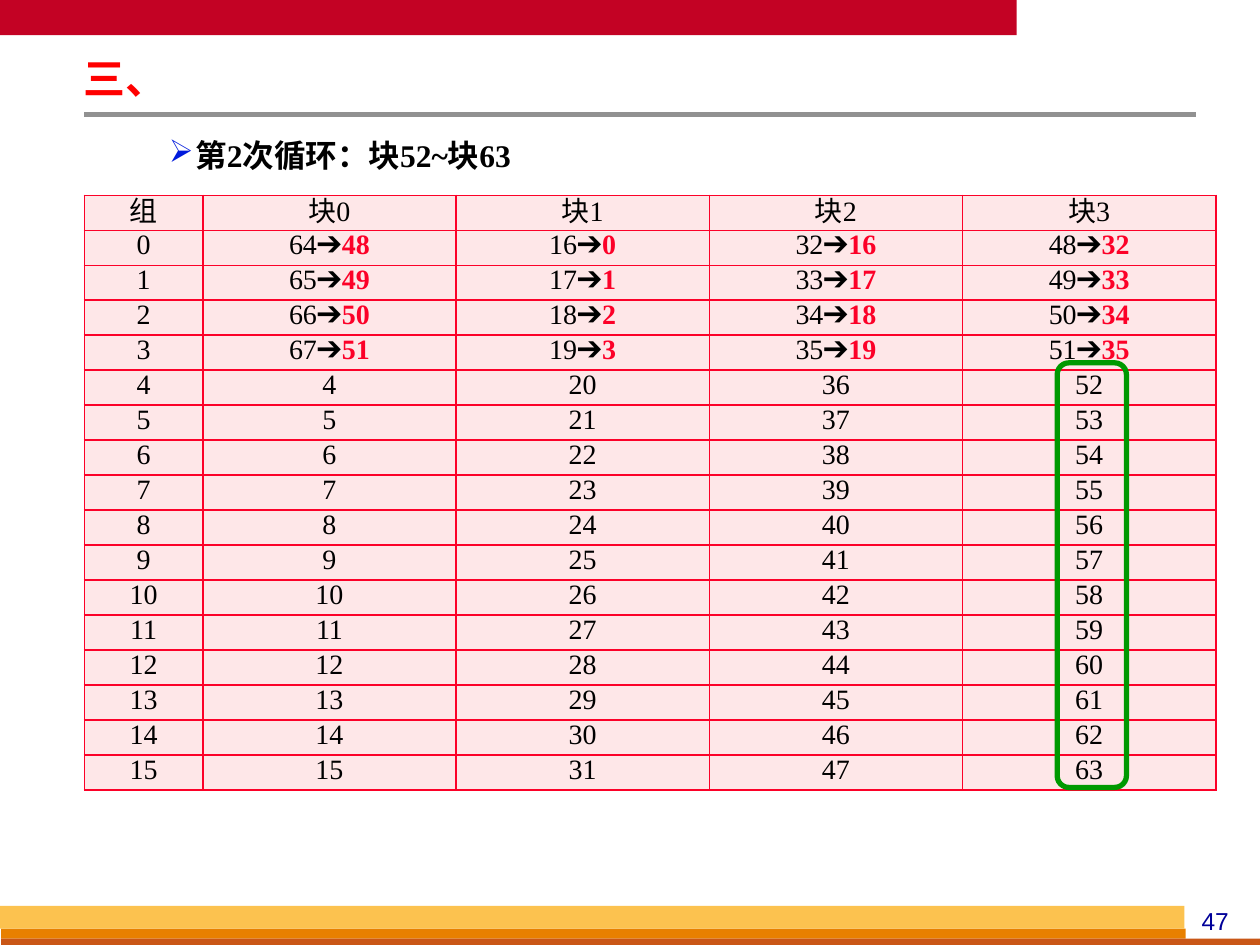
"""Build the slide showing the second cycle of block reads in a grouped table."""
from dataclasses import dataclass

from lxml import etree
from pptx import Presentation
from pptx.dml.color import RGBColor
from pptx.enum.shapes import MSO_CONNECTOR, MSO_SHAPE
from pptx.enum.text import MSO_ANCHOR, MSO_AUTO_SIZE, PP_ALIGN
from pptx.oxml.ns import qn
from pptx.util import Inches, Pt

RECTANGLE = MSO_SHAPE.RECTANGLE
ROUNDED_RECTANGLE = MSO_SHAPE.ROUNDED_RECTANGLE
STRAIGHT = MSO_CONNECTOR.STRAIGHT
MIDDLE = MSO_ANCHOR.MIDDLE
GROW = MSO_AUTO_SIZE.SHAPE_TO_FIT_TEXT
LEFT, CENTER = PP_ALIGN.LEFT, PP_ALIGN.CENTER

SERIF, SANS = "Times New Roman", "Arial"
COLORS = {
    "banner": "C30224",
    "rule": "919191",
    "orange": "E88000",
    "rust": "C95616",
    "yellow": "FCC24F",
    "page": "000099",
    "title": "FF0000",
    "bullet": "001ADC",
    "text": "000000",
    "replaced": "FC0128",
    "cell": "FEE7E8",
    "highlight": "009900",
}
GROUPS, BLOCKS, REPLACED_GROUPS = 16, 4, 4
COLUMN_WIDTHS = [0.94] + [2.01] * BLOCKS


@dataclass
class Bar:
    left: float
    top: float
    width: float
    height: float
    color: str


BARS = [
    Bar(0, 0, 8.07, 0.28, "banner"),
    Bar(0.01, 7.37, 9.4, 0.08, "orange"),
    Bar(0.01, 7.45, 10, 0.08, "rust"),
    Bar(0, 7.19, 9.4, 0.18, "yellow"),
]


def rgb(name: str) -> RGBColor:
    """Return the named colour."""
    return RGBColor.from_string(COLORS[name])


def format_run(run, size: float, color: str, bold: bool = False, font: str = SERIF) -> None:
    """Set the font of a run."""
    run.font.name = font
    run.font.size = Pt(size)
    run.font.bold = bold
    run.font.color.rgb = rgb(color)


def place(shape, left: float, top: float, width: float, height: float) -> None:
    """Move and size a shape."""
    shape.left, shape.top = Inches(left), Inches(top)
    shape.width, shape.height = Inches(width), Inches(height)


def set_frame(text_frame, horizontal: float, vertical: float) -> None:
    """Set insets, wrapping and growth of a text frame."""
    text_frame.word_wrap = True
    text_frame.auto_size = GROW
    text_frame.margin_left = text_frame.margin_right = Inches(horizontal)
    text_frame.margin_top = text_frame.margin_bottom = Inches(vertical)


def draw_bar(slide, bar: Bar) -> None:
    """Draw one plain coloured bar."""
    shape = slide.shapes.add_shape(
        RECTANGLE, Inches(bar.left), Inches(bar.top), Inches(bar.width), Inches(bar.height)
    )
    shape.shadow.inherit = False
    shape.fill.solid()
    shape.fill.fore_color.rgb = rgb(bar.color)
    shape.line.fill.background()


def draw_title_rule(slide) -> None:
    """Draw the line under the title."""
    rule = slide.shapes.add_connector(STRAIGHT, Inches(0.67), Inches(0.91), Inches(9.49), Inches(0.91))
    rule.line.color.rgb = rgb("rule")
    rule.line.width = Pt(3)
    etree.SubElement(rule._element.spPr, qn("a:effectLst"))


def draw_title(slide) -> None:
    """Fill the title placeholder."""
    title = slide.shapes.title
    place(title, 0.59, 0.44, 5.75, 0.41)
    set_frame(title.text_frame, 0.07, 0.03)
    title.text_frame.vertical_anchor = MIDDLE
    title.text_frame.text = "三、"
    paragraph = title.text_frame.paragraphs[0]
    paragraph.alignment = LEFT
    paragraph.line_spacing = 0.87
    format_run(paragraph.runs[0], 24, "title", bold=True)


def draw_page_number(slide) -> None:
    """Draw the page number at the lower right."""
    box = slide.shapes.add_textbox(Inches(9.33), Inches(7.14), Inches(0.63), Inches(0.33))
    set_frame(box.text_frame, 0.1, 0.05)
    box.text_frame.text = "47"
    paragraph = box.text_frame.paragraphs[0]
    paragraph.alignment = CENTER
    format_run(paragraph.runs[0], 14, "page", font=SANS)


def draw_cycle_heading(slide) -> None:
    """Draw the bulleted heading above the table."""
    box = slide.shapes.add_textbox(Inches(0.75), Inches(0.99), Inches(8.58), Inches(0.39))
    set_frame(box.text_frame, 0.07, 0.03)
    box.text_frame.text = "第2次循环：块52~块63"
    paragraph = box.text_frame.paragraphs[0]
    paragraph.level = 1
    paragraph.line_spacing = 1.2
    properties = paragraph._p.get_or_add_pPr()
    properties.set("marL", str(Inches(0.73)))
    properties.set("indent", str(Inches(-0.21)))
    bullet_color = etree.SubElement(properties, qn("a:buClr"))
    etree.SubElement(bullet_color, qn("a:srgbClr"), val=COLORS["bullet"])
    etree.SubElement(properties, qn("a:buChar"), char="➢")
    format_run(paragraph.runs[0], 18, "text", bold=True)


def add_borders(cell) -> None:
    """Give a cell a thin border on every side."""
    properties = cell._tc.get_or_add_tcPr()
    for side in ("lnL", "lnR", "lnT", "lnB"):
        line = etree.SubElement(properties, qn(f"a:{side}"), w=str(Pt(1)))
        fill = etree.SubElement(line, qn("a:solidFill"))
        etree.SubElement(fill, qn("a:srgbClr"), val=COLORS["replaced"])


def fill_cell(cell, text: str, replaced: str = "") -> None:
    """Write a cell, with an optional replaced block number in bold."""
    add_borders(cell)
    cell.fill.solid()
    cell.fill.fore_color.rgb = rgb("cell")
    cell.vertical_anchor = MIDDLE
    cell.margin_top = cell.margin_bottom = 0
    cell.text_frame.text = text
    paragraph = cell.text_frame.paragraphs[0]
    paragraph.alignment = CENTER
    paragraph.line_spacing = 0.75
    format_run(paragraph.runs[0], 16, "text")
    if replaced:
        run = paragraph.add_run()
        run.text = replaced
        format_run(run, 16, "replaced", bold=True)


def draw_block_table(slide) -> None:
    """Draw the table of groups and the blocks they hold."""
    table = slide.shapes.add_table(
        GROUPS + 1, BLOCKS + 1, Inches(0.67), Inches(1.55), Inches(sum(COLUMN_WIDTHS)), Inches(4.72)
    ).table
    for column, width in zip(table.columns, COLUMN_WIDTHS):
        column.width = Inches(width)
    fill_cell(table.cell(0, 0), "组")
    for block in range(BLOCKS):
        fill_cell(table.cell(0, block + 1), f"块{block}")
    for group in range(GROUPS):
        fill_cell(table.cell(group + 1, 0), str(group))
        for block in range(BLOCKS):
            cell = table.cell(group + 1, block + 1)
            if group < REPLACED_GROUPS:
                loaded = GROUPS * (block or BLOCKS) + group
                fill_cell(cell, f"{loaded}➔", str(loaded - GROUPS))
            else:
                fill_cell(cell, str(GROUPS * block + group))


def draw_highlight(slide) -> None:
    """Outline the blocks read in this cycle."""
    outline = slide.shapes.add_shape(ROUNDED_RECTANGLE, Inches(8.39), Inches(2.88), Inches(0.55), Inches(3.37))
    outline.shadow.inherit = False
    outline.adjustments[0] = 0.17
    outline.fill.background()
    outline.line.color.rgb = rgb("highlight")
    outline.line.width = Pt(3)


def main() -> None:
    """Build and save the presentation."""
    presentation = Presentation()
    presentation.slide_width, presentation.slide_height = Inches(10), Inches(7.5)
    slide = presentation.slides.add_slide(presentation.slide_layouts[5])
    for bar in BARS:
        draw_bar(slide, bar)
    draw_title_rule(slide)
    draw_page_number(slide)
    draw_title(slide)
    draw_cycle_heading(slide)
    draw_block_table(slide)
    draw_highlight(slide)
    presentation.save("out.pptx")


if __name__ == "__main__":
    main()
